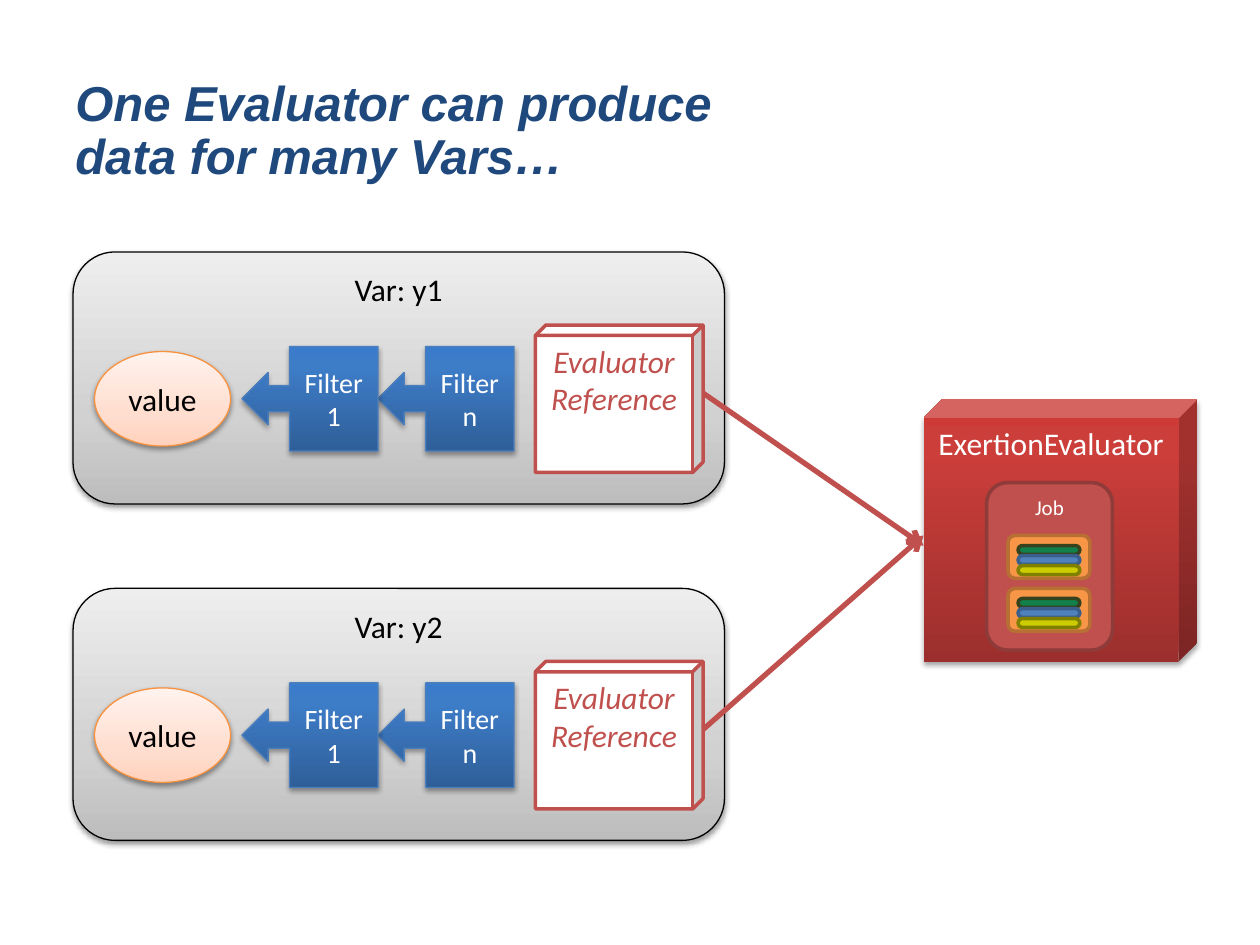
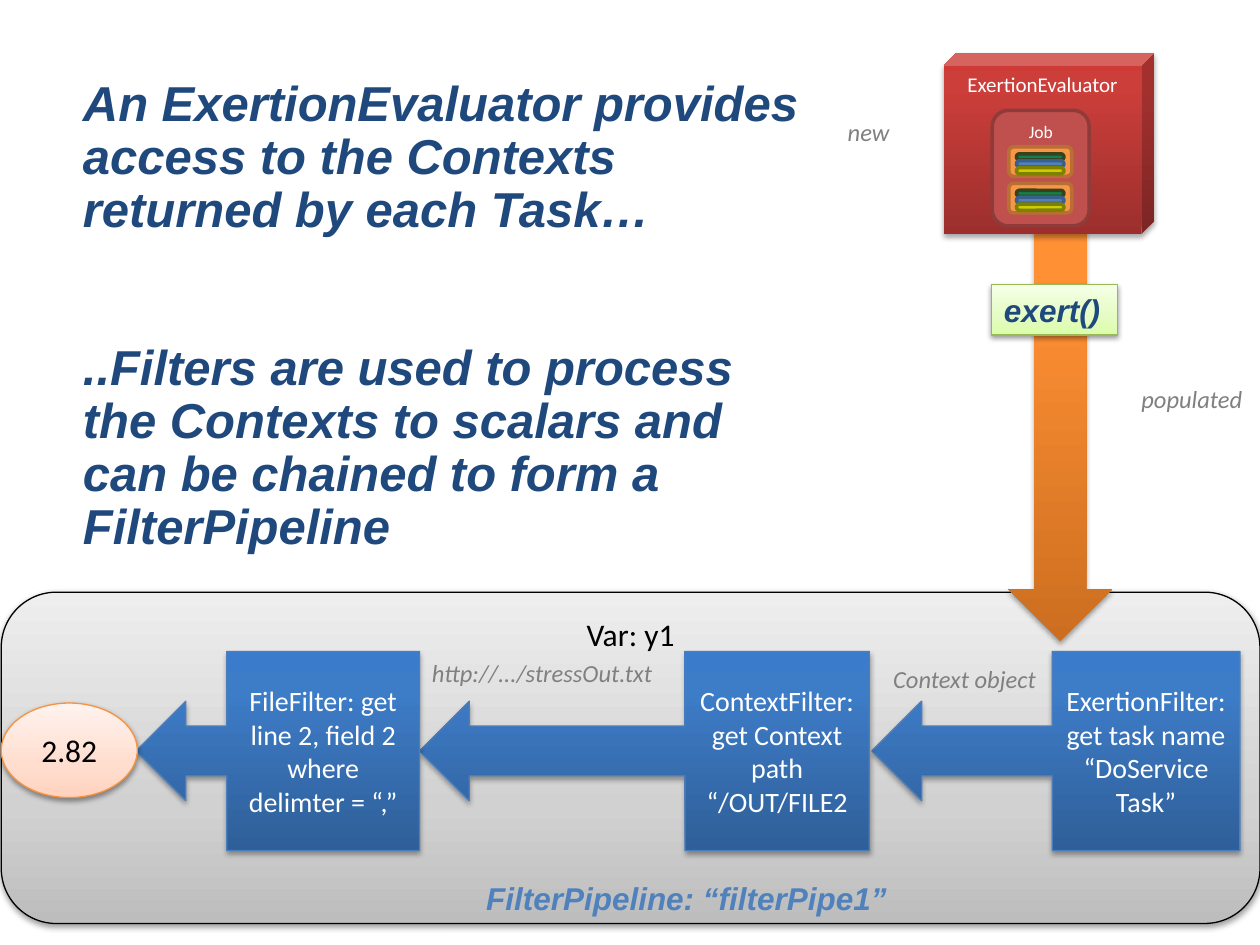
from copy import deepcopy

from lxml import etree
from pptx import Presentation
from pptx.dml.color import RGBColor
from pptx.enum.shapes import MSO_CONNECTOR, MSO_SHAPE
from pptx.enum.text import MSO_ANCHOR, MSO_AUTO_SIZE, PP_ALIGN
from pptx.oxml.ns import qn
from pptx.util import Inches, Pt

BLACK = RGBColor(0x00, 0x00, 0x00)
WHITE = RGBColor(0xFF, 0xFF, 0xFF)
GREY = RGBColor(0x80, 0x80, 0x80)
NAVY = RGBColor(0x1F, 0x49, 0x7D)
BLUE = RGBColor(0x4F, 0x81, 0xBD)
BLUE_EDGE = RGBColor(0x4B, 0x7E, 0xBC)
BLUE_DARK = RGBColor(0x3A, 0x5F, 0x8C)
RED = RGBColor(0xC0, 0x50, 0x4D)
RED_DARK = RGBColor(0x8E, 0x3B, 0x39)
ORANGE = RGBColor(0xF7, 0x96, 0x46)
ORANGE_EDGE = RGBColor(0xF6, 0x92, 0x40)
ORANGE_DARK = RGBColor(0xB7, 0x6F, 0x34)
GREEN = RGBColor(0x12, 0x80, 0x4A)
GREEN_DARK = RGBColor(0x36, 0x42, 0x1E)
LIME_EDGE = RGBColor(0x98, 0xB9, 0x55)
YELLOW = RGBColor(0xCC, 0xCC, 0x00)
OLIVE = RGBColor(0x80, 0x80, 0x00)

# Gradient colours from bottom to top
GREY_BLEND = (RGBColor(0xBD, 0xBD, 0xBD), RGBColor(0xD1, 0xD1, 0xD1), RGBColor(0xEE, 0xEE, 0xEE))
PEACH_BLEND = (RGBColor(0xFF, 0xD2, 0xBD), RGBColor(0xFF, 0xDE, 0xD0), RGBColor(0xFF, 0xF2, 0xED))
LIME_BLEND = (RGBColor(0xDA, 0xFD, 0xA7), RGBColor(0xE4, 0xFC, 0xC2), RGBColor(0xF5, 0xFF, 0xE7))
BLUE_BLEND = (RGBColor(0x2F, 0x5F, 0x99), RGBColor(0x3D, 0x7C, 0xC7), RGBColor(0x3A, 0x7C, 0xCB))
RED_BLEND = (RGBColor(0x9C, 0x2F, 0x2D), RGBColor(0xCB, 0x3E, 0x3A), RGBColor(0xCE, 0x3B, 0x37))
ORANGE_BLEND = (RGBColor(0xCC, 0x6E, 0x20), RGBColor(0xFF, 0x90, 0x34), RGBColor(0xFF, 0x91, 0x36))

# Middle stop, shadow opacity in percent, shadow distance in points
SOFT = (0.35, 38, 1.6)
STRONG = (0.8, 35, 1.8)

# Each look: blend, finish, outline colour
VAR_LOOK = (GREY_BLEND, SOFT, BLACK)
VALUE_LOOK = (PEACH_BLEND, SOFT, ORANGE_EDGE)
CALL_LOOK = (LIME_BLEND, SOFT, LIME_EDGE)
FILTER_LOOK = (BLUE_BLEND, STRONG, BLUE_EDGE)
EVALUATOR_LOOK = (RED_BLEND, STRONG, None)
ARROW_LOOK = (ORANGE_BLEND, STRONG, None)

# Text styles: size, colour, font, bold, italic
TITLE = (28, NAVY, "Arial", True, True)
CALL = (18, NAVY, "Arial", True, True)
PIPELINE = (18, BLUE, "Arial", True, True)
NOTE = (14, GREY, "Calibri", False, True)
LABEL = (18, BLACK, "Calibri", False, False)
FILTER = (16, WHITE, "Calibri", False, False)
REFERENCE = (18, RED, "Calibri", False, True)

VARS = [("Var: y1", 2.0, 4.33), ("Var: y2", 4.67, 4.25)]  # label, top, arrow end
FILTERS = [("Filter n", 3.0), ("Filter 1", 1.92)]
VARS_TITLE = ["One Evaluator can produce data for many Vars…"]
CONTEXT_TITLES = [
    "An ExertionEvaluator provides access to the Contexts returned by each Task…",
    "..Filters are used to process the Contexts to scalars and can be chained to form a FilterPipeline",
]
PIPELINE_STEPS = [  # text, left, width, share of the width taken by the box
    ("ExertionFilter: get task name “DoService Task”", 6.92, 2.92, 0.51),
    ("ContextFilter: get Context path “/OUT/FILE2", 3.33, 3.57, 0.41),
    ("FileFilter: get line 2, field 2 where delimter = “,”", 1.08, 2.25, 0.68),
]
NOTES = [
    ("http://.../stressOut.txt", (3.33, 5.17, 1.97, 0.34), NOTE),
    ("Context object", (6.99, 5.22, 1.35, 0.34), NOTE),
    ("new", (6.63, 0.88, 0.54, 0.34), NOTE),
    ("populated", (8.96, 3.0, 1.01, 0.34), NOTE),
    ("FilterPipeline: “filterPipe1”", (3.76, 6.93, 3.41, 0.4), PIPELINE),
]
TASK_BARS = [(GREEN, GREEN_DARK), (BLUE, BLUE_DARK), (YELLOW, OLIVE)]


def write(shape, texts, style, align=PP_ALIGN.LEFT, anchor=MSO_ANCHOR.TOP, wrap=True):
    size, color, font, bold, italic = style
    frame = shape.text_frame
    frame.text = "\n".join(texts)
    frame.word_wrap = wrap
    frame.vertical_anchor = anchor
    for para in frame.paragraphs:
        para.alignment = align
        for span in para.runs:
            span.font.size = Pt(size)
            span.font.color.rgb = color
            span.font.name = font
            span.font.bold = bold
            span.font.italic = italic


def add_label(shape, text, style, anchor=MSO_ANCHOR.TOP):
    write(shape, [text], style, PP_ALIGN.CENTER, anchor)


def add_flat(shapes, kind, place, fill, edge, *adjustments):
    shape = shapes.add_shape(kind, *map(Inches, place))
    for index, value in enumerate(adjustments):
        shape.adjustments[index] = value
    shape.shadow.inherit = False
    shape.fill.solid()
    shape.fill.fore_color.rgb = fill
    shape.line.color.rgb = edge
    shape.line.width = Pt(2)
    return shape


def add_glossy(shapes, kind, place, look, *adjustments):
    """Add a shape with a vertical gradient and a soft shadow below it."""
    blend, (middle, opacity, distance), edge = look
    shape = add_flat(shapes, kind, place, blend[0], edge or blend[0], *adjustments)
    if edge:
        shape.line.width = Pt(0.75)
    else:
        shape.line.fill.background()
    shape.fill.gradient()
    shape.fill.gradient_angle = 90
    properties = shape._element.spPr
    stop_list = properties.find(qn("a:gradFill")).find(qn("a:gsLst"))
    stop_list.append(deepcopy(stop_list[0]))
    for stop, position, color in zip(shape.fill.gradient_stops, (0, middle, 1), blend):
        stop.position = position
        stop.color.rgb = color
    shadow = etree.SubElement(
        properties.find(qn("a:effectLst")), qn("a:outerShdw"),
        blurRad=str(Pt(3.1)), dist=str(Pt(distance)), dir="5400000", rotWithShape="0")
    tint = etree.SubElement(shadow, qn("a:srgbClr"), val=str(BLACK))
    etree.SubElement(tint, qn("a:alpha"), val=str(opacity * 1000))
    return shape


def add_title(page, place, texts):
    box = page.shapes.add_textbox(*map(Inches, place))
    write(box, texts, TITLE)
    for index, para in enumerate(box.text_frame.paragraphs):
        para.line_spacing = 0.9
        if index:
            para.space_before = Pt(60)


def add_note(page, text, place, style):
    box = page.shapes.add_textbox(*map(Inches, place))
    write(box, [text], style, wrap=False)
    box.text_frame.auto_size = MSO_AUTO_SIZE.SHAPE_TO_FIT_TEXT


def add_var(page, place, label):
    panel = add_glossy(page.shapes, MSO_SHAPE.ROUNDED_RECTANGLE, place, VAR_LOOK)
    add_label(panel, label, LABEL)


def add_value(page, left, top, text):
    oval = add_glossy(page.shapes, MSO_SHAPE.OVAL, (left, top, 1.08, 0.75), VALUE_LOOK)
    add_label(oval, text, LABEL, MSO_ANCHOR.MIDDLE)


def add_filter(page, place, text, box_share=0.65):
    callout = add_glossy(page.shapes, MSO_SHAPE.LEFT_ARROW_CALLOUT, place, FILTER_LOOK,
                         0.25, 0.25, 0.25, box_share)
    add_label(callout, text, FILTER, MSO_ANCHOR.MIDDLE)


def add_evaluator(page, left, top, scale_x, scale_y, name_size, job_size):
    """Add the red cube holding a job of two tasks, scaled from its full size."""
    shapes = page.shapes.add_group_shape().shapes

    def place(x, y, width, height):
        return (left + x * scale_x, top + y * scale_y, width * scale_x, height * scale_y)

    def style(size):
        return (size, WHITE, "Calibri", False, False)

    cube = add_glossy(shapes, MSO_SHAPE.CUBE, place(0, 0, 2.17, 2.08), EVALUATOR_LOOK, 0.07)
    add_label(cube, "ExertionEvaluator", style(name_size))
    job = add_flat(shapes, MSO_SHAPE.ROUNDED_RECTANGLE, place(0.5, 0.66, 1, 1.33), RED, RED_DARK)
    add_label(job, "Job", style(job_size))
    for task_y in (1.08, 1.5):
        add_flat(shapes, MSO_SHAPE.ROUNDED_RECTANGLE, place(0.67, task_y, 0.65, 0.34),
                 ORANGE, ORANGE_DARK)
        for index, (fill, edge) in enumerate(TASK_BARS, 1):
            add_flat(shapes, MSO_SHAPE.ROUNDED_RECTANGLE,
                     place(0.75, task_y + index * 0.08, 0.49, 0.07), fill, edge, 0.5)


def add_reference_arrow(page, start, end):
    line = page.shapes.add_connector(MSO_CONNECTOR.STRAIGHT, *map(Inches, start + end))
    line.line.color.rgb = RED
    line.line.width = Pt(3)
    properties = line._element.spPr
    etree.SubElement(properties.find(qn("a:ln")), qn("a:tailEnd"), type="arrow")
    etree.SubElement(properties, qn("a:effectLst"))


def build_vars_slide(page):
    add_title(page, (0.5, 0.58, 5.92, 0.95), VARS_TITLE)
    for label, top, _ in VARS:
        add_var(page, (0.58, top, 5.17, 2), label)
        for text, left in FILTERS:
            add_filter(page, (left, top + 0.75, 1.08, 0.83), text)
        reference = add_flat(page.shapes, MSO_SHAPE.CUBE, (4.25, top + 0.58, 1.33, 1.17),
                             WHITE, RED, 0.07)
        add_label(reference, "Evaluator Reference", REFERENCE)
        add_value(page, 0.75, top + 0.79, "value")
    add_evaluator(page, 7.33, 3.17, 1, 1, 18, 12)
    for _, top, arrow_end in VARS:
        add_reference_arrow(page, (5.58, top + 1.12), (7.33, arrow_end))


def build_pipeline_slide(page):
    add_var(page, (0.01, 4.7, 9.99, 2.63), "Var: y1")
    add_glossy(page.shapes, MSO_SHAPE.DOWN_ARROW, (8, 1.61, 0.83, 3.48), ARROW_LOOK)
    add_title(page, (0.56, 0.58, 5.95, 3.92), CONTEXT_TITLES)
    add_evaluator(page, 7.49, 0.42, 0.77, 0.69, 12, 10)
    for text, left, width, box_share in PIPELINE_STEPS:
        add_filter(page, (left, 5.17, width, 1.58), text, box_share)
    add_value(page, 0.01, 5.58, "2.82")
    call = add_glossy(page.shapes, MSO_SHAPE.RECTANGLE, (7.87, 2.26, 1, 0.4), CALL_LOOK)
    write(call, ["exert()"], CALL, wrap=False)
    for note in NOTES:
        add_note(page, *note)


def main():
    deck = Presentation()
    deck.slide_width, deck.slide_height = Inches(10), Inches(7.5)
    for build in (build_vars_slide, build_pipeline_slide):
        build(deck.slides.add_slide(deck.slide_layouts[6]))
    deck.save("out.pptx")


if __name__ == "__main__":
    main()
